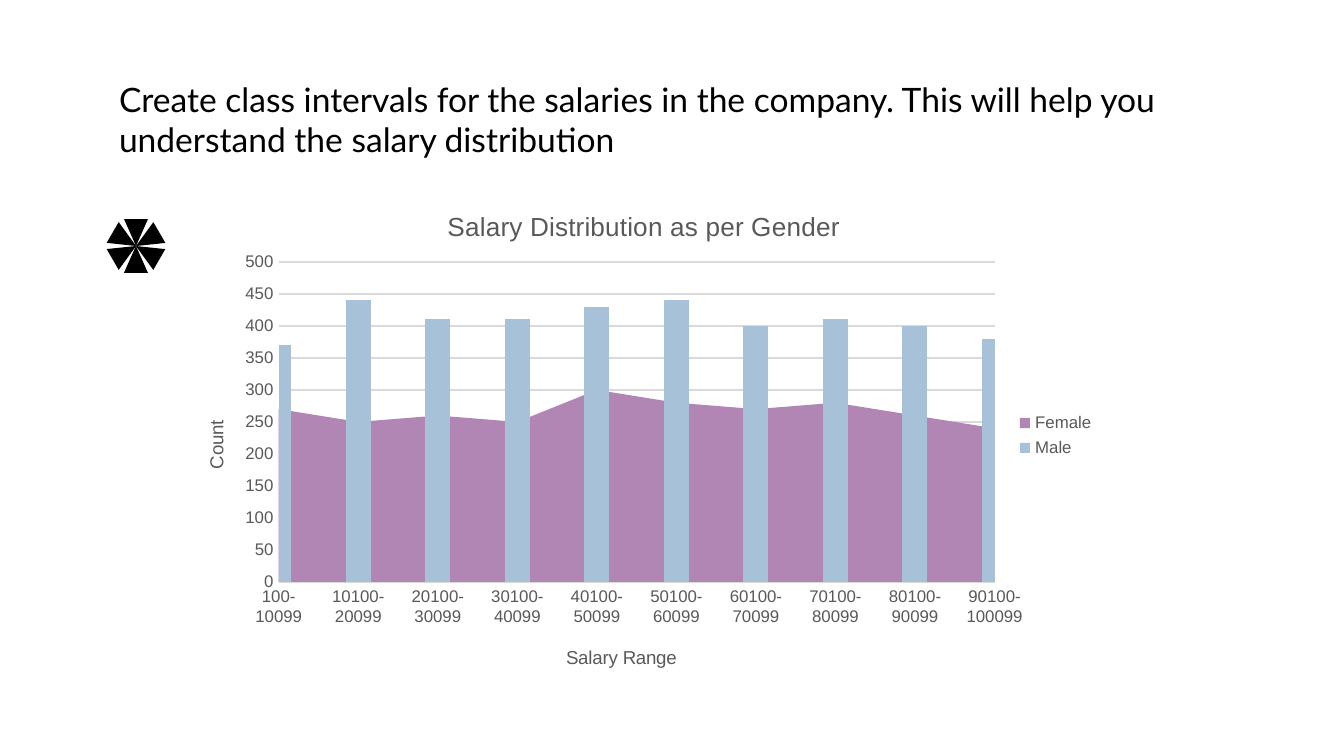
from dataclasses import dataclass
from math import cos, radians, sin

from pptx import Presentation
from pptx.chart.data import CategoryChartData
from pptx.dml.color import RGBColor
from pptx.enum.chart import XL_CHART_TYPE, XL_LEGEND_POSITION, XL_TICK_MARK
from pptx.enum.shapes import MSO_SHAPE
from pptx.enum.text import MSO_ANCHOR, MSO_AUTO_SIZE, PP_ALIGN
from pptx.oxml import parse_xml
from pptx.oxml.ns import nsdecls, qn
from pptx.util import Emu, Pt

COLUMN = XL_CHART_TYPE.COLUMN_CLUSTERED
RIGHT = XL_LEGEND_POSITION.RIGHT
NO_TICK = XL_TICK_MARK.NONE
WEDGE = MSO_SHAPE.ISOSCELES_TRIANGLE
TOP = MSO_ANCHOR.TOP
LEFT = PP_ALIGN.LEFT
NO_FIT = MSO_AUTO_SIZE.NONE

SCALE = 914400 / 134.4
COLORS = {
    "black": "000000",
    "gray": "595959",
    "grid": "D9D9D9",
    "Female": "B185B4",
    "Male": "A6C1D8",
}
RANGES = ["100-10099"] + [f"{n}0100-{n + 1}0099" for n in range(1, 10)]


@dataclass(frozen=True)
class Box:
    x: int
    y: int
    w: int
    h: int

    def emu(self) -> tuple[Emu, Emu, Emu, Emu]:
        return px(self.x), px(self.y), px(self.w), px(self.h)


@dataclass(frozen=True)
class Group:
    name: str
    counts: tuple[int, ...]


@dataclass(frozen=True)
class Label:
    text: str
    size: int
    x: int
    y: int


TITLE = Box(106, 66, 1133, 85)
CHART = Box(171, 181, 937, 509)
PLOT = Box(279, 262, 716, 320)
GROUPS = [
    Group("Female", (270, 250, 260, 250, 300, 280, 270, 280, 260, 240)),
    Group("Male", (370, 440, 410, 410, 430, 440, 400, 410, 400, 380)),
]
HEAD = Label("Salary Distribution as per Gender", 14, 443, 205)
RANGE = Label("Salary Range", 10, 563, 642)
COUNT = Label("Count", 10, 201, 417)


def px(n: float) -> Emu:
    return Emu(round(n * SCALE))


def color(name: str) -> RGBColor:
    return RGBColor.from_string(COLORS[name])


def style(font, face: str, size: int, tint: str) -> None:
    font.name = face
    font.size = Pt(size)
    font.bold = False
    font.color.rgb = color(tint)


def add_title(slide, text: str) -> None:
    shape = slide.shapes.title
    shape.left, shape.top, shape.width, shape.height = TITLE.emu()
    frame = shape.text_frame
    frame.text = text
    frame.word_wrap = True
    frame.auto_size = NO_FIT
    frame.vertical_anchor = TOP
    frame.margin_left = frame.margin_right = px(13)
    frame.margin_top = frame.margin_bottom = px(13)
    para = frame.paragraphs[0]
    para.alignment = LEFT
    style(para.font, "Lato", 18, "black")


def add_star(slide, x: int, y: int, w: int, h: int) -> None:
    group = slide.shapes.add_group_shape()
    for turn in range(0, 360, 60):
        mid_x = x - sin(radians(turn)) * h / 2
        mid_y = y + cos(radians(turn)) * h / 2
        wedge = group.shapes.add_shape(
            WEDGE, px(mid_x - w / 2), px(mid_y - h / 2), px(w), px(h)
        )
        wedge.rotation = turn
        wedge.shadow.inherit = False
        wedge.fill.solid()
        wedge.fill.fore_color.rgb = color("black")
        wedge.line.fill.background()


def layout(x: int, y: int, size: tuple[int, int] | None = None):
    parts = {
        "xMode": "edge",
        "yMode": "edge",
        "x": round((x - CHART.x) / CHART.w, 3),
        "y": round((y - CHART.y) / CHART.h, 3),
    }
    if size:
        parts = {"layoutTarget": "inner"} | parts
        parts["w"] = round(size[0] / CHART.w, 3)
        parts["h"] = round(size[1] / CHART.h, 3)
    body = "".join(f'<c:{key} val="{val}"/>' for key, val in parts.items())
    return parse_xml(
        f"<c:layout {nsdecls('c')}><c:manualLayout>{body}</c:manualLayout></c:layout>"
    )


def set_label(title, label: Label, turn: int = 0) -> None:
    frame = title.text_frame
    frame.text = label.text
    style(frame.paragraphs[0].font, "Arial", label.size, "gray")
    node = title._element
    body = node.find(".//" + qn("a:bodyPr"))
    body.set("rot", str(turn * 60000))
    body.set("vert", "horz")
    for old in node.findall(qn("c:layout")):
        node.remove(old)
    node.find(qn("c:tx")).addnext(layout(label.x, label.y))


def set_axis(axis, label: Label, turn: int = 0) -> None:
    axis.major_tick_mark = axis.minor_tick_mark = NO_TICK
    style(axis.tick_labels.font, "Arial", 9, "gray")
    set_label(axis.axis_title, label, turn)


def make_area(chart) -> None:
    bars = chart._chartSpace.find(".//" + qn("c:barChart"))
    series = bars.find(qn("c:ser"))
    area = parse_xml(
        f'<c:areaChart {nsdecls("c")}><c:grouping val="stacked"/>'
        '<c:varyColors val="0"/></c:areaChart>'
    )
    bars.addprevious(area)
    for flag in series.findall(qn("c:invertIfNegative")):
        series.remove(flag)
    area.append(series)
    for ref in bars.findall(qn("c:axId")):
        axis_id = parse_xml(f'<c:axId {nsdecls("c")} val="{ref.get("val")}"/>')
        area.append(axis_id)


def add_chart(slide) -> None:
    data = CategoryChartData()
    data.categories = RANGES
    for group in GROUPS:
        data.add_series(group.name, group.counts)
    chart = slide.shapes.add_chart(COLUMN, *CHART.emu(), data).chart
    style(chart.font, "Arial", 10, "black")
    chart.has_title = True
    set_label(chart.chart_title, HEAD)
    chart.has_legend = True
    chart.legend.position = RIGHT
    chart.legend.include_in_layout = False
    style(chart.legend.font, "Arial", 9, "gray")

    plot = chart.plots[0]
    plot.gap_width = 219
    plot.vary_by_categories = False
    for series in plot.series:
        series.format.fill.solid()
        series.format.fill.fore_color.rgb = color(series.name)

    set_axis(chart.category_axis, RANGE)
    set_axis(chart.value_axis, COUNT, -90)
    axis = chart.value_axis
    axis.minimum_scale, axis.maximum_scale, axis.major_unit = 0, 500, 50
    axis.format.line.fill.background()
    for line in (chart.category_axis.format.line, axis.major_gridlines.format.line):
        line.color.rgb = color("grid")
        line.width = Pt(0.75)

    make_area(chart)
    region = chart._chartSpace.find(".//" + qn("c:plotArea"))
    for old in region.findall(qn("c:layout")):
        region.remove(old)
    region.insert(0, layout(PLOT.x, PLOT.y, (PLOT.w, PLOT.h)))


def main() -> None:
    deck = Presentation()
    deck.slide_width, deck.slide_height = px(1344), px(756)
    slide = deck.slides.add_slide(deck.slide_layouts[5])
    add_title(
        slide,
        "Create class intervals for the salaries in the company. "
        "This will help you understand the salary distribution",
    )
    add_star(slide, 136, 246, 24, 27)
    add_chart(slide)
    deck.save("out.pptx")


if __name__ == "__main__":
    main()
